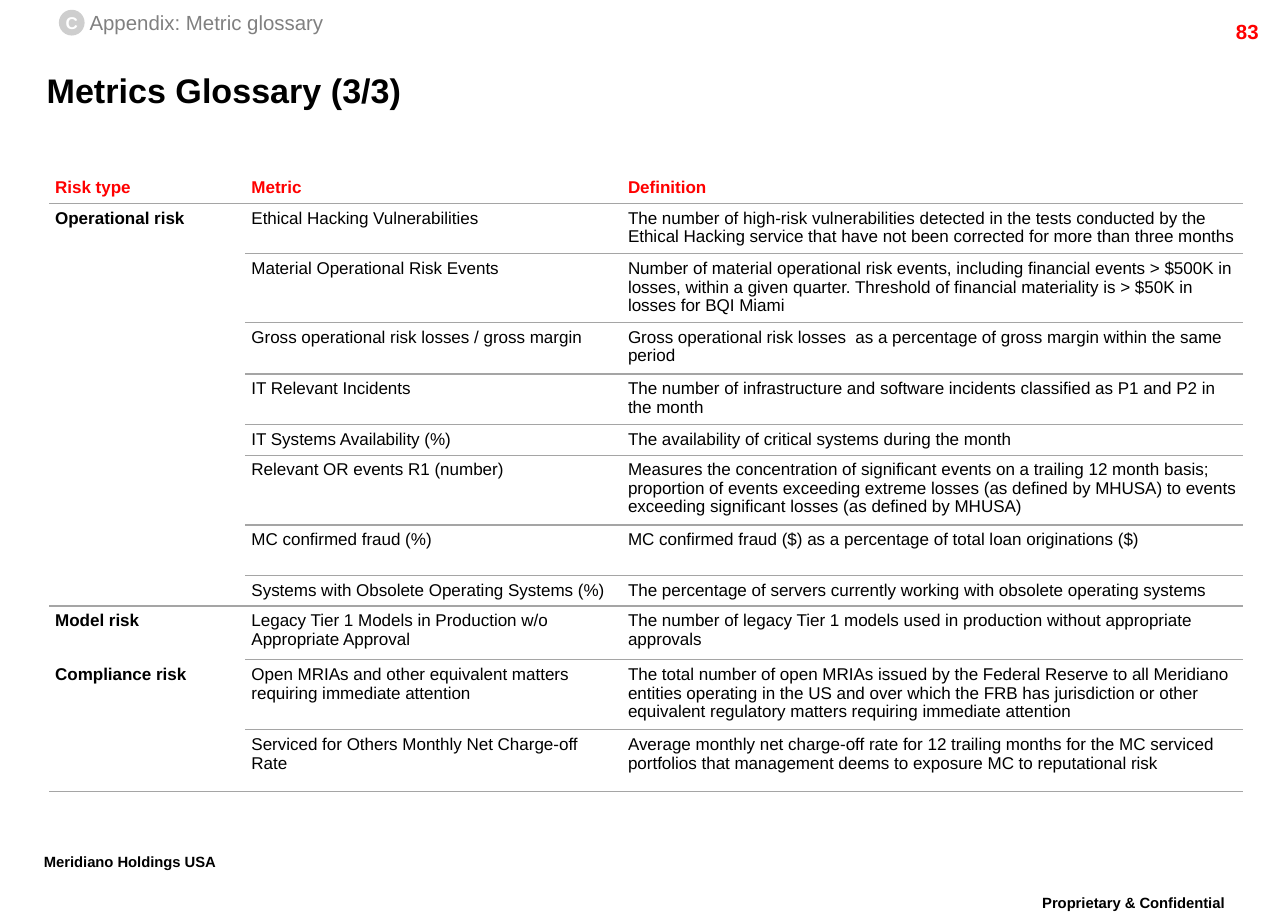
from dataclasses import dataclass
from typing import Optional

from lxml.etree import SubElement
from pptx import Presentation
from pptx.dml.color import RGBColor
from pptx.enum.shapes import MSO_SHAPE
from pptx.enum.text import MSO_ANCHOR, PP_ALIGN
from pptx.oxml.ns import qn
from pptx.util import Inches, Pt

COLORS = {
    "black": "000000",
    "red": "FF0000",
    "rule": "A5A5A5",
    "badge": "CECECE",
    "gray": "808080",
    "white": "FFFFFF",
}


@dataclass
class Label:
    text: str
    left: float
    top: float
    width: float
    height: float
    size: float
    color: str = "black"
    bold: bool = True
    align: PP_ALIGN = PP_ALIGN.LEFT
    margin_x: float = 0.1
    margin_y: float = 0.05
    wrap: bool = True
    spacing: float = 1.0
    baseline: int = 0


@dataclass
class Metric:
    risk: str
    name: str
    definition: str
    height: float


LABELS = [
    Label("Proprietary & Confidential", 8.15, 7.25, 2.18, 0.35, 15,
          align=PP_ALIGN.CENTER, spacing=0.86, baseline=30000),
    Label("Meridiano Holdings USA", 0.26, 6.91, 1.91, 0.35, 15,
          wrap=False, spacing=0.86, baseline=30000),
    Label("83", 9.36, 0.11, 1, 0.24, 12, "red", align=PP_ALIGN.RIGHT),
    Label("Appendix: Metric glossary", 0.73, 0.08, 1.92, 0.2, 12, "gray",
          bold=False, margin_x=0, margin_y=0, wrap=False),
]

ROWS = [
    Metric("Risk type", "Metric", "Definition", 0.26),
    Metric("Operational risk", "Ethical Hacking Vulnerabilities",
           "The number of high-risk vulnerabilities detected in the tests conducted by the "
           "Ethical Hacking service that have not been corrected for more than three months", 0.41),
    Metric("", "Material Operational Risk Events",
           "Number of material operational risk events, including financial events > $500K in "
           "losses, within a given quarter. Threshold of financial materiality is > $50K in "
           "losses for BQI Miami", 0.56),
    Metric("", "Gross operational risk losses / gross margin",
           "Gross operational risk losses  as a percentage of gross margin within the same period", 0.42),
    Metric("", "IT Relevant Incidents",
           "The number of infrastructure and software incidents classified as P1 and P2 in the month", 0.41),
    Metric("", "IT Systems Availability (%)",
           "The availability of critical systems during the month", 0.25),
    Metric("", "Relevant OR events R1 (number)",
           "Measures the concentration of significant events on a trailing 12 month basis; "
           "proportion of events exceeding extreme losses (as defined by MHUSA) to events "
           "exceeding significant losses (as defined by MHUSA)", 0.57),
    Metric("", "MC confirmed fraud (%)",
           "MC confirmed fraud ($) as a percentage of total loan originations ($)", 0.41),
    Metric("", "Systems with Obsolete Operating Systems (%)",
           "The percentage of servers currently working with obsolete operating systems", 0.25),
    Metric("Model risk", "Legacy Tier 1 Models in Production w/o\nAppropriate Approval",
           "The number of legacy Tier 1 models used in production without appropriate approvals", 0.44),
    Metric("Compliance risk", "Open MRIAs and other equivalent matters requiring immediate attention",
           "The total number of open MRIAs issued by the Federal Reserve to all Meridiano "
           "entities operating in the US and over which the FRB has jurisdiction or other "
           "equivalent regulatory matters requiring immediate attention", 0.57),
    Metric("", "Serviced for Others Monthly Net Charge-off Rate",
           "Average monthly net charge-off rate for 12 trailing months for the MC serviced "
           "portfolios that management deems to exposure MC to reputational risk", 0.5),
]
COLUMNS = [1.6, 3.07, 5.06]
RISK_SPANS = [(1, 8), (10, 11)]
FULL_RULES = {0, 8, 11}


def rgb(name: str) -> RGBColor:
    return RGBColor.from_string(COLORS[name])


def format_text(tf, size: float, color: str, bold: bool,
                align: Optional[PP_ALIGN] = PP_ALIGN.LEFT, spacing: float = 1.0) -> None:
    for p in tf.paragraphs:
        p.alignment = align
        p.line_spacing = spacing
        for r in p.runs:
            r.font.name = "Arial"
            r.font.size = Pt(size)
            r.font.bold = bold
            r.font.color.rgb = rgb(color)


def set_margins(tf, x: float, y: float) -> None:
    tf.margin_left = tf.margin_right = Inches(x)
    tf.margin_top = tf.margin_bottom = Inches(y)


def add_label(s, label: Label) -> None:
    tf = s.shapes.add_textbox(Inches(label.left), Inches(label.top),
                              Inches(label.width), Inches(label.height)).text_frame
    tf.word_wrap = label.wrap
    set_margins(tf, label.margin_x, label.margin_y)
    tf.text = label.text
    format_text(tf, label.size, label.color, label.bold, label.align, label.spacing)
    if label.baseline:
        for r in tf.paragraphs[0].runs:
            r.font._element.set("baseline", str(label.baseline))


def add_title(s, text: str) -> None:
    title = s.shapes.title
    title.left, title.top = Inches(0.38), Inches(0.49)
    title.width, title.height = Inches(9.48), Inches(0.48)
    tf = title.text_frame
    tf.text = text
    tf.vertical_anchor = MSO_ANCHOR.MIDDLE
    set_margins(tf, 0, 0)
    format_text(tf, 20, "black", True)


def add_badge(s, letter: str) -> None:
    badge = s.shapes.add_shape(MSO_SHAPE.OVAL, Inches(0.48), Inches(0.08), Inches(0.21), Inches(0.21))
    badge.shadow.inherit = False
    badge.fill.solid()
    badge.fill.fore_color.rgb = rgb("badge")
    badge.line.fill.background()
    tf = badge.text_frame
    tf.word_wrap = False
    tf.vertical_anchor = MSO_ANCHOR.MIDDLE
    set_margins(tf, 0, 0)
    tf.text = letter
    format_text(tf, 10, "white", True, PP_ALIGN.CENTER)


def has_rule(row: int, col: int) -> bool:
    return row >= 0 and (col > 0 or row in FULL_RULES)


def set_borders(cell, top: bool, bottom: bool) -> None:
    tc_pr = cell._tc.get_or_add_tcPr()
    for tag, shown in (("lnL", False), ("lnR", False), ("lnT", top), ("lnB", bottom)):
        ln = SubElement(tc_pr, qn(f"a:{tag}"), w=str(Pt(0.75)))
        if shown:
            fill = SubElement(ln, qn("a:solidFill"))
            SubElement(fill, qn("a:srgbClr"), val=COLORS["rule"])
        else:
            SubElement(ln, qn("a:noFill"))


def add_glossary(s) -> None:
    table = s.shapes.add_table(len(ROWS), len(COLUMNS), Inches(0.4), Inches(1.4),
                               Inches(sum(COLUMNS)), Inches(sum(m.height for m in ROWS))).table
    table.first_row = table.horz_banding = False
    for column, width in zip(table.columns, COLUMNS):
        column.width = Inches(width)
    for first, last in RISK_SPANS:
        table.cell(first, 0).merge(table.cell(last, 0))
    for i, metric in enumerate(ROWS):
        table.rows[i].height = Inches(metric.height)
        for j, text in enumerate((metric.risk, metric.name, metric.definition)):
            cell = table.cell(i, j)
            last = i + cell.span_height - 1 if cell.is_merge_origin else i
            set_borders(cell, has_rule(i - 1, j), has_rule(last, j))
            cell.fill.background()
            set_margins(cell, 0.05, 0.05)
            cell.vertical_anchor = MSO_ANCHOR.TOP if i else MSO_ANCHOR.MIDDLE
            if not cell.is_spanned:
                cell.text_frame.text = text
                format_text(cell.text_frame, 10, "black" if i else "red", i == 0 or j == 0, spacing=0.97)


def main() -> None:
    prs = Presentation()
    prs.slide_width, prs.slide_height = Inches(10.5), Inches(7.5)
    s = prs.slides.add_slide(prs.slide_layouts[5])
    add_title(s, "Metrics Glossary (3/3)")
    add_glossary(s)
    add_badge(s, "C")
    for label in LABELS:
        add_label(s, label)
    prs.save("out.pptx")


if __name__ == "__main__":
    main()
